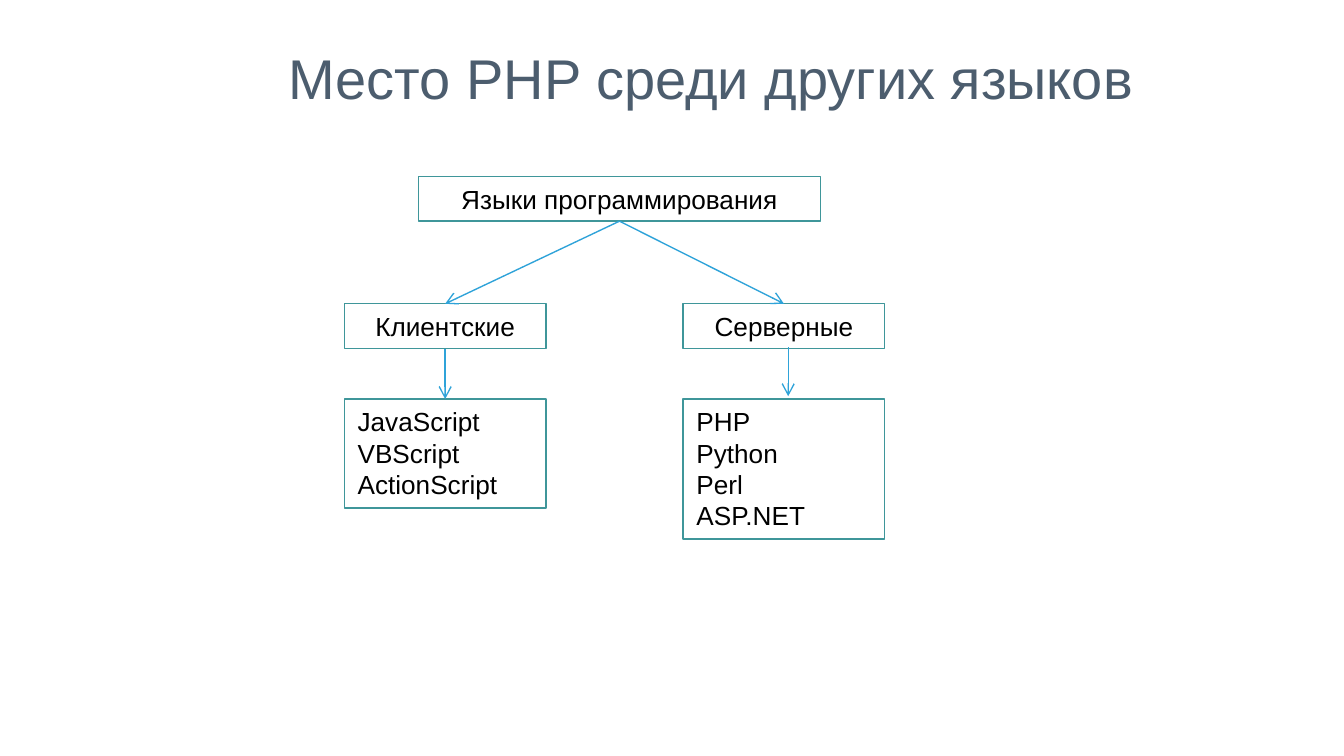
"""Build a slide that places PHP among client and server languages."""
from dataclasses import dataclass
from typing import Any, Optional

from pptx import Presentation
from pptx import util as u
from pptx.dml.color import RGBColor
from pptx.enum import shapes, text
from pptx.oxml.ns import qn
from lxml import etree

PX = 9525
COLORS = {"title": "4C5D6E", "border": "3F969A", "arrow": "2FA3D9", "body": "000000"}
BOTTOM, TOP = 2, 0


@dataclass(frozen=True)
class Box:
    lines: tuple[str, ...]
    left: int
    top: int
    width: int
    height: int
    align: Any = text.PP_ALIGN.LEFT


@dataclass(frozen=True)
class Arrow:
    start: tuple[int, int]
    end: tuple[int, int]
    source: Optional[str] = None
    target: Optional[str] = None


CENTER = text.PP_ALIGN.CENTER
BOXES = {
    "client": Box(("Клиентские",), 246, 217, 144, 32, CENTER),
    "languages": Box(("Языки программирования",), 299, 126, 287, 32, CENTER),
    "client list": Box(("JavaScript", "VBScript", "ActionScript"), 246, 285, 144, 78),
    "server list": Box(("PHP", "Python", "Perl", "ASP.NET"), 488, 285, 144, 100),
    "server": Box(("Серверные",), 488, 217, 144, 32, CENTER),
}
ARROWS = (
    Arrow((442, 158), (318, 217), "languages", "client"),
    Arrow((442, 158), (560, 217), "languages", "server"),
    Arrow((318, 249), (318, 285), "client", "client list"),
    Arrow((563, 248), (563, 283)),
)


def apply(target: Any, values: dict[str, Any]) -> None:
    """Set each named attribute on the target."""
    for name, value in values.items():
        setattr(target, name, value)


def rgb(name: str) -> RGBColor:
    """Look up a palette colour."""
    return RGBColor.from_string(COLORS[name])


def write(frame: Any, lines: tuple[str, ...], align: Any, size: int, color: str) -> None:
    """Fill a text frame with one paragraph per line."""
    frame.text = "\n".join(lines)
    for paragraph in frame.paragraphs:
        paragraph.alignment = align
        apply(paragraph.font, {"name": "Arial", "size": u.Pt(size)})
        paragraph.font.color.rgb = rgb(color)


def outline(line: Any, color: str) -> None:
    """Give a line its colour and width."""
    line.color.rgb = rgb(color)
    line.width = u.Pt(0.75)


def draw_box(slide: Any, box: Box) -> Any:
    """Draw an outlined rectangle with its text."""
    bounds = (value * PX for value in (box.left, box.top, box.width, box.height))
    shape = slide.shapes.add_shape(shapes.MSO_SHAPE.RECTANGLE, *bounds)
    shape.shadow.inherit = False
    shape.fill.background()
    outline(shape.line, "border")
    apply(shape.text_frame, {
        "word_wrap": True,
        "vertical_anchor": text.MSO_ANCHOR.TOP,
        "auto_size": text.MSO_AUTO_SIZE.SHAPE_TO_FIT_TEXT,
    })
    write(shape.text_frame, box.lines, box.align, 14, "body")
    return shape


def draw_arrow(slide: Any, arrow: Arrow, drawn: dict[str, Any]) -> None:
    """Draw an arrow and join it to the boxes it names."""
    ends = (value * PX for value in arrow.start + arrow.end)
    connector = slide.shapes.add_connector(shapes.MSO_CONNECTOR.STRAIGHT, *ends)
    if arrow.source:
        connector.begin_connect(drawn[arrow.source], BOTTOM)
    if arrow.target:
        connector.end_connect(drawn[arrow.target], TOP)
    outline(connector.line, "arrow")
    properties = connector._element.spPr
    etree.SubElement(properties.find(qn("a:ln")), qn("a:tailEnd"), type="arrow")
    etree.SubElement(properties, qn("a:effectLst"))


def draw_title(slide: Any) -> None:
    """Place and format the slide title."""
    title = slide.shapes.title
    apply(title, {"left": 147 * PX, "top": 20 * PX, "width": 722 * PX, "height": 70 * PX})
    margins = {f"margin_{side}": 12 * PX for side in ("left", "top", "right", "bottom")}
    apply(title.text_frame, {
        **margins,
        "word_wrap": True,
        "vertical_anchor": text.MSO_ANCHOR.MIDDLE,
        "auto_size": text.MSO_AUTO_SIZE.NONE,
    })
    write(title.text_frame, ("Место PHP среди других языков",), CENTER, 30, "title")


def main() -> None:
    """Build and save the presentation."""
    deck = Presentation()
    apply(deck, {"slide_width": 960 * PX, "slide_height": 540 * PX})
    slide = deck.slides.add_slide(deck.slide_layouts[5])
    draw_title(slide)
    drawn = {name: draw_box(slide, box) for name, box in BOXES.items()}
    for arrow in ARROWS:
        draw_arrow(slide, arrow, drawn)
    deck.save("out.pptx")


if __name__ == "__main__":
    main()
